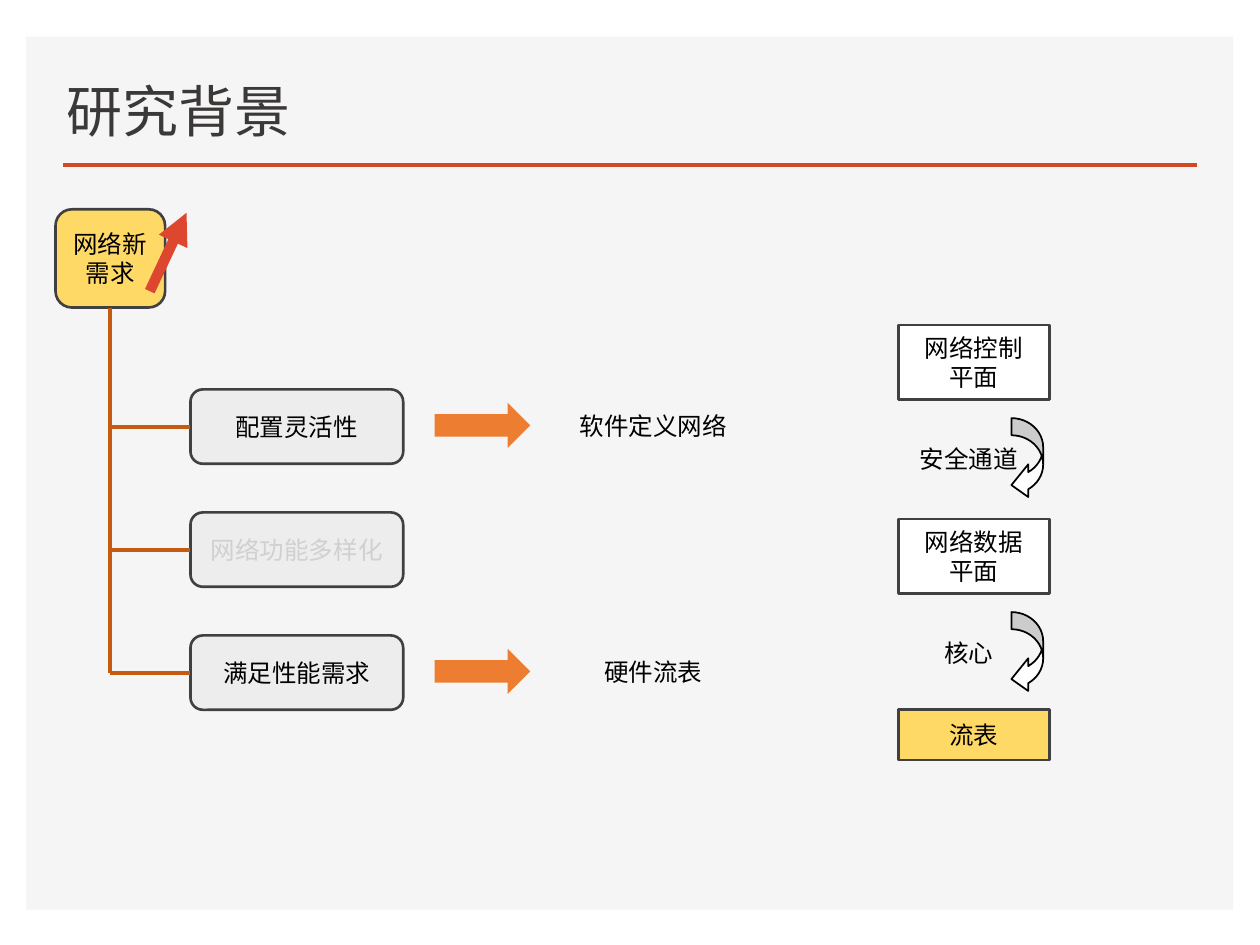
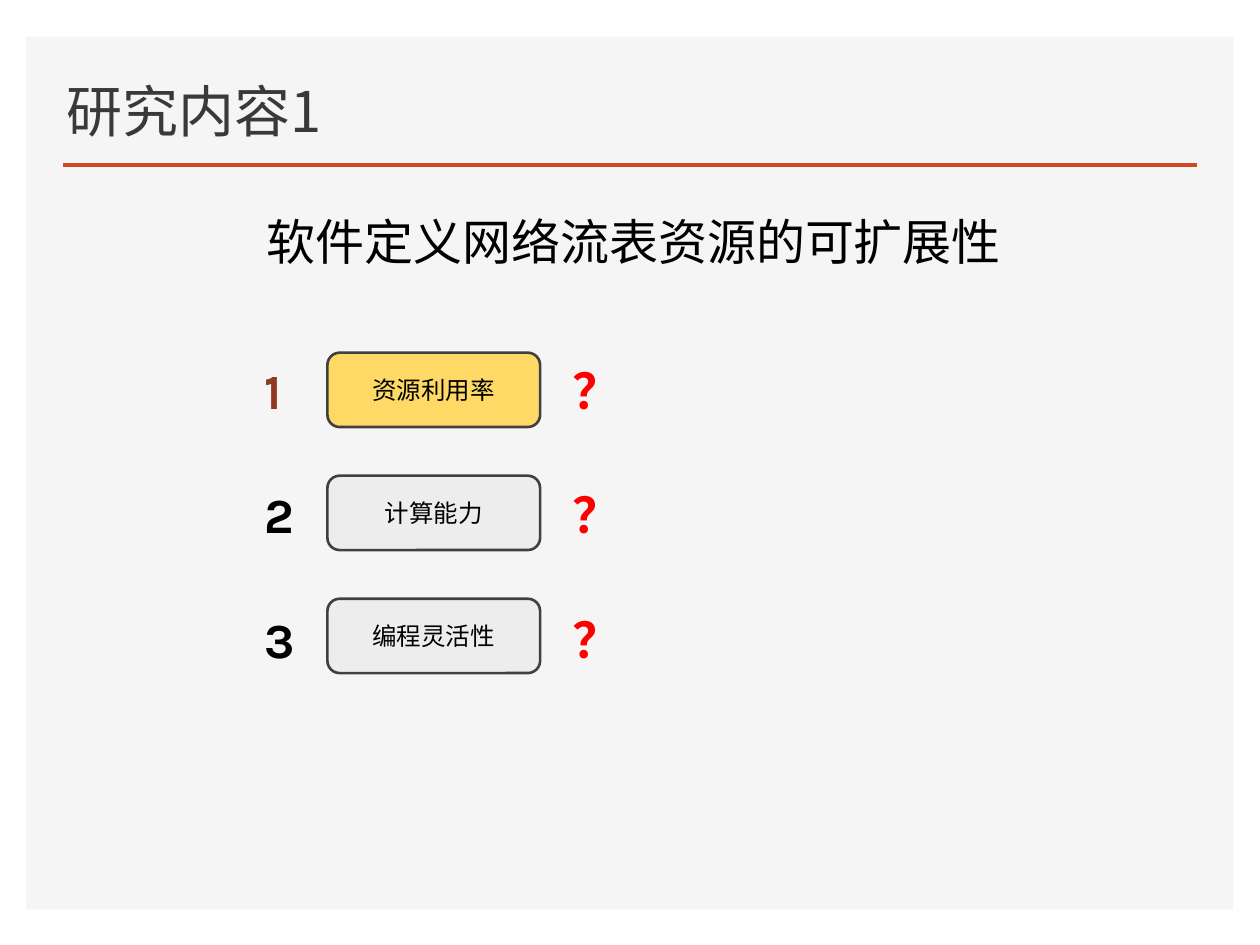
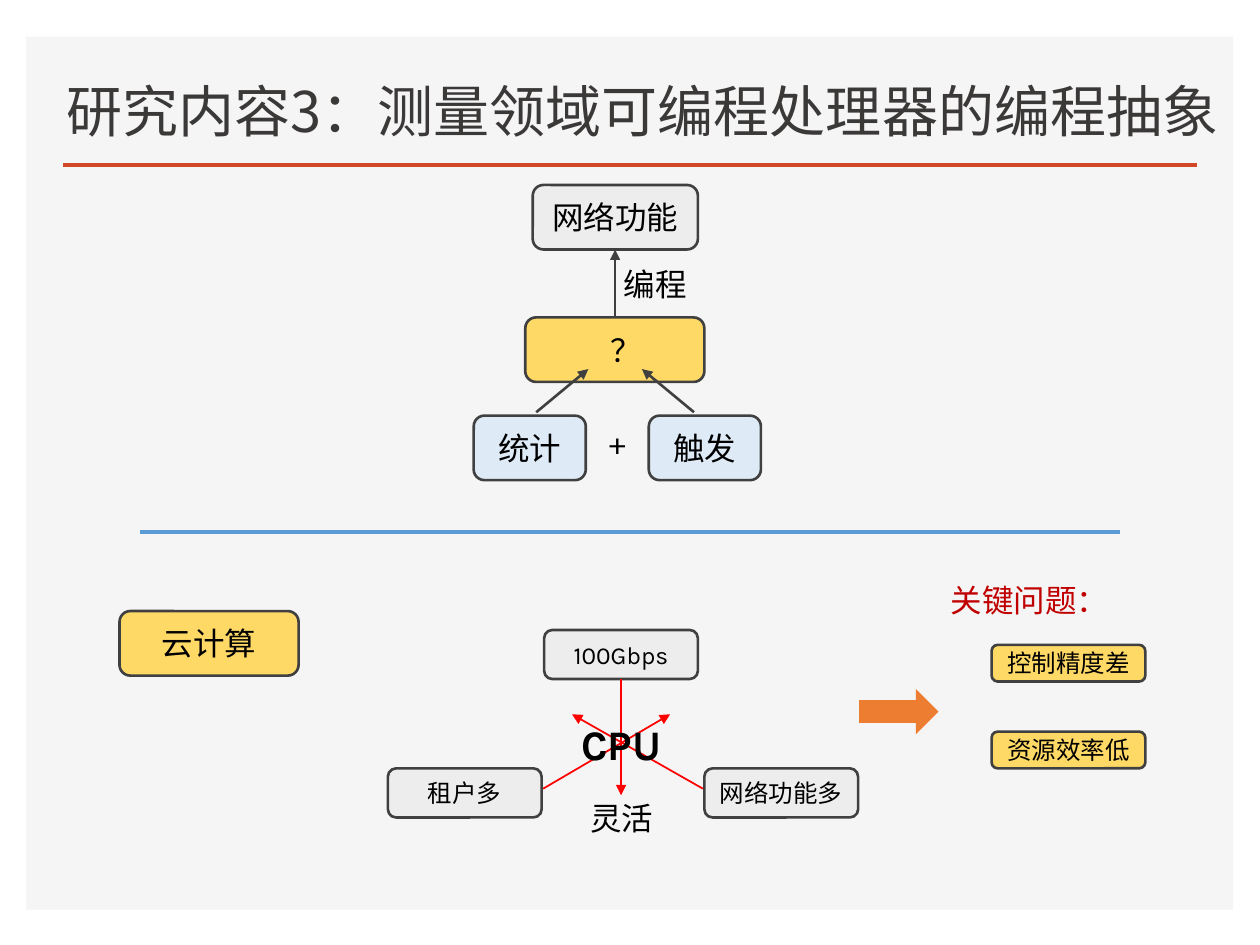
import pptx
import pptx.dml.color
import pptx.enum.shapes
import pptx.enum.text
import pptx.oxml.ns
import pptx.util
from lxml import etree

Cm = pptx.util.Cm
RGBColor = pptx.dml.color.RGBColor
SHAPE = pptx.enum.shapes.MSO_SHAPE
ALIGN = pptx.enum.text.PP_ALIGN
ANCHOR = pptx.enum.text.MSO_ANCHOR
qn = pptx.oxml.ns.qn

PANEL = RGBColor(0xF5, 0xF5, 0xF5)
RULE = RGBColor(0xD2, 0x47, 0x26)
TITLE = RGBColor(0x3B, 0x38, 0x38)
OUTLINE = RGBColor(0x40, 0x40, 0x40)
YELLOW = RGBColor(0xFF, 0xD9, 0x66)
GREY = RGBColor(0xED, 0xED, 0xED)
FADED = RGBColor(0xD0, 0xD0, 0xD0)
PALE_BLUE = RGBColor(0xDE, 0xEB, 0xF7)
BLUE = RGBColor(0x5B, 0x9B, 0xD5)
ORANGE = RGBColor(0xED, 0x7D, 0x31)
BROWN = RGBColor(0xC5, 0x5A, 0x11)
RISING = RGBColor(0xDD, 0x46, 0x2F)
RUST = RGBColor(0x92, 0x39, 0x22)
RED = RGBColor(0xFF, 0x00, 0x00)
DARK_RED = RGBColor(0xC0, 0x00, 0x00)
BLACK = RGBColor(0x00, 0x00, 0x00)
WHITE = RGBColor(0xFF, 0xFF, 0xFF)

BODY_FONT, TITLE_FONT = "Karla", "Noto Sans CJK SC"
ROW_SIZE = (4.29, 1.5)
ROW_PITCH = 2.48


# Shared drawing helpers, all lengths in centimetres
def write(frame, text, size=14, color=BLACK, bold=False, align=ALIGN.CENTER,
          font=BODY_FONT, spacing=1.0):
    for index, line in enumerate(text.split("\n")):
        paragraph = frame.paragraphs[0] if index == 0 else frame.add_paragraph()
        paragraph.alignment = align
        paragraph.line_spacing = spacing
        run = paragraph.add_run()
        run.text = line
        look = {"name": font, "size": pptx.util.Pt(size), "bold": bold}
        for attribute, value in look.items():
            setattr(run.font, attribute, value)
        run.font.color.rgb = color
        east_asian = etree.SubElement(run.font._element, qn("a:ea"))
        east_asian.set("typeface", font)


def block(slide, kind, box, fill, outline=None, weight=1.5):
    shape = slide.shapes.add_shape(kind, *map(Cm, box))
    shape.shadow.inherit = False
    shape.fill.solid()
    shape.fill.fore_color.rgb = fill
    if outline is None:
        shape.line.fill.background()
    else:
        shape.line.color.rgb = outline
        shape.line.width = pptx.util.Pt(weight)
    return shape


def node(slide, text, box, fill=GREY, kind=SHAPE.ROUNDED_RECTANGLE, indent=0.0, **look):
    frame = block(slide, kind, box, fill, OUTLINE).text_frame
    margins = {"margin_left": Cm(0.2 + indent), "margin_right": Cm(0.2),
               "word_wrap": True, "vertical_anchor": ANCHOR.MIDDLE}
    for attribute, value in margins.items():
        setattr(frame, attribute, value)
    write(frame, text, **look)


def label(slide, text, box, **look):
    frame = slide.shapes.add_textbox(*map(Cm, box)).text_frame
    frame.word_wrap = False
    write(frame, text, **look)


def line(slide, start, end, color, weight, arrow=False):
    connector = slide.shapes.add_connector(
        pptx.enum.shapes.MSO_CONNECTOR.STRAIGHT, *map(Cm, (*start, *end)))
    connector.line.color.rgb = color
    connector.line.width = pptx.util.Pt(weight)
    if arrow:
        etree.SubElement(connector.line._get_or_add_ln(), qn("a:tailEnd"), type="triangle")
    etree.SubElement(connector._element.spPr, qn("a:effectLst"))


def titled_slide(deck, title):
    slide = deck.slides.add_slide(deck.slide_layouts[6])
    block(slide, SHAPE.RECTANGLE, (0.53, 0.74, 24.33, 17.6), PANEL)
    line(slide, (1.27, 3.33), (24.13, 3.33), RULE, 2)
    frame = slide.shapes.add_textbox(*map(Cm, (1.09, 1.24, 24, 1.78))).text_frame
    frame.word_wrap = True
    frame.vertical_anchor = ANCHOR.BOTTOM
    write(frame, title, size=32, color=TITLE, align=ALIGN.LEFT, font=TITLE_FONT, spacing=0.81)
    return slide


# Background slide
def demand_tree(slide, left, top):
    trunk, first_row = left + 1.1, top + 3.63
    node(slide, "网络新需求", (left, top, 2.21, 1.98), YELLOW)
    line(slide, (left + 1.9, top + 1.65), (left + 2.64, top + 0.07), RISING, 6, arrow=True)
    line(slide, (trunk, top + 1.98), (trunk, first_row + 2 * ROW_PITCH + 0.75), BROWN, 2.25)
    demands = (("配置灵活性", BLACK, "软件定义网络"),
               ("网络功能多样化", FADED, None),
               ("满足性能需求", BLACK, "硬件流表"))
    for index, (demand, color, answer) in enumerate(demands):
        y = first_row + index * ROW_PITCH
        node(slide, demand, (left + 2.72, y, *ROW_SIZE), color=color)
        line(slide, (left + 2.72, y + 0.75), (trunk, y + 0.75), BROWN, 2.25)
        if answer:
            block(slide, SHAPE.RIGHT_ARROW, (left + 7.64, y + 0.27, 1.93, 0.91), ORANGE)
            label(slide, answer, (left + 10.3, y + 0.31, 3.5, 0.86))


def plane_stack(slide, left, top):
    layers = (("网络控制\n平面", 0, 1.5, WHITE, "安全通道"),
              ("网络数据\n平面", 3.91, 1.5, WHITE, "核心"),
              ("流表", 7.75, 1.02, YELLOW, None))
    for plane, offset, height, fill, link in layers:
        y = top + offset
        node(slide, plane, (left, y, 3.05, height), fill, SHAPE.RECTANGLE)
        if link:
            bend = block(slide, SHAPE.CURVED_LEFT_ARROW, (left + 2.28, y + 1.88, 0.64, 1.68),
                         WHITE, BLACK, 1)
            for index, value in enumerate((0.54, 1.03, 0.53)):
                bend.adjustments[index] = value
            label(slide, link, (left - 0.1, y + 2.27, 3.05, 0.86))


# First research topic
def open_questions(slide, left, top):
    topics = (("资源利用率", YELLOW, RUST), ("计算能力", GREY, BLACK), ("编程灵活性", GREY, BLACK))
    large = {"size": 28, "bold": True, "align": ALIGN.LEFT}
    for index, (topic, fill, number_color) in enumerate(topics):
        mark_top = top + 0.03 + index * 2.51
        node(slide, topic, (left + 1.52, top + index * ROW_PITCH, *ROW_SIZE), fill)
        label(slide, str(index + 1), (left, mark_top, 1.09, 1.45), color=number_color, **large)
        label(slide, "？", (left + 6.22, mark_top, 1.5, 1.45), color=RED, **large)


# Third research topic
def programming_abstraction(slide, left, top):
    axis = left + 2.85
    parts = (("网络功能", (left + 1.19, top, 3.33, 1.3), GREY, 0),
             ("？", (left + 1.04, top + 2.67, 3.61, 1.3), YELLOW, 0.45),
             ("统计", (left, top + 4.65, 2.26, 1.3), PALE_BLUE, 0),
             ("触发", (left + 3.53, top + 4.65, 2.26, 1.3), PALE_BLUE, 0))
    for text, box, fill, indent in parts:
        node(slide, text, box, fill, indent=indent, size=18)
    label(slide, "编程", (left + 2.03, top + 1.48, 3.25, 1.02), size=18)
    label(slide, "+", (left + 1.27, top + 4.68, 3.25, 1.02), size=18)
    line(slide, (axis, top + 2.67), (axis, top + 1.3), OUTLINE, 1.5, arrow=True)
    for side in (-1, 1):
        line(slide, (axis + side * 1.59, top + 4.58), (axis + side * 0.54, top + 3.71),
             OUTLINE, 1.5, arrow=True)


def cpu_pressures(slide, left, top):
    for pressure, x, y in (("100Gbps", 3.15, 0), ("租户多", 0, 2.79), ("网络功能多", 6.38, 2.79)):
        node(slide, pressure, (left + x, top + y, 3.1, 0.99))
    for x1, y1, x2, y2 in ((4.7, 0.99, 4.7, 3.33), (3.13, 3.2, 5.69, 1.7), (6.35, 3.2, 3.71, 1.7)):
        line(slide, (left + x1, top + y1), (left + x2, top + y2), RED, 1, arrow=True)
    label(slide, "CPU", (left + 3.61, top + 1.65, 2.18, 1.27), size=24, bold=True)
    label(slide, "灵活", (left + 3.81, top + 3.28, 1.8, 1.02), size=18)


def key_issues(slide, left, top):
    label(slide, "关键问题：", (left, top, 3.71, 1.02), size=18, color=DARK_RED, align=ALIGN.LEFT)
    for index, issue in enumerate(("控制精度差", "资源效率低")):
        node(slide, issue, (left + 1.07, top + 1.42 + index * 1.75, 3.1, 0.74), YELLOW)


def main():
    deck = pptx.Presentation()
    deck.slide_width, deck.slide_height = Cm(25.4), Cm(19.05)

    background = titled_slide(deck, "研究背景")
    demand_tree(background, 1.12, 4.22)
    plane_stack(background, 18.11, 6.55)

    scalability = titled_slide(deck, "研究内容1")
    label(scalability, "软件定义网络流表资源的可扩展性", (5.13, 4.14, 16, 1.45),
          size=28, align=ALIGN.LEFT)
    open_questions(scalability, 5.08, 7.11)

    abstraction = titled_slide(deck, "研究内容3：测量领域可编程处理器的编程抽象")
    programming_abstraction(abstraction, 9.55, 3.73)
    line(abstraction, (2.82, 10.72), (22.58, 10.72), BLUE, 2.25)
    node(abstraction, "云计算", (2.41, 12.32, 3.61, 1.3), YELLOW, size=18)
    cpu_pressures(abstraction, 7.82, 12.7)
    block(abstraction, SHAPE.RIGHT_ARROW, (17.32, 13.89, 1.6, 0.91), ORANGE)
    key_issues(abstraction, 18.92, 11.58)

    deck.save("out.pptx")


if __name__ == "__main__":
    main()
